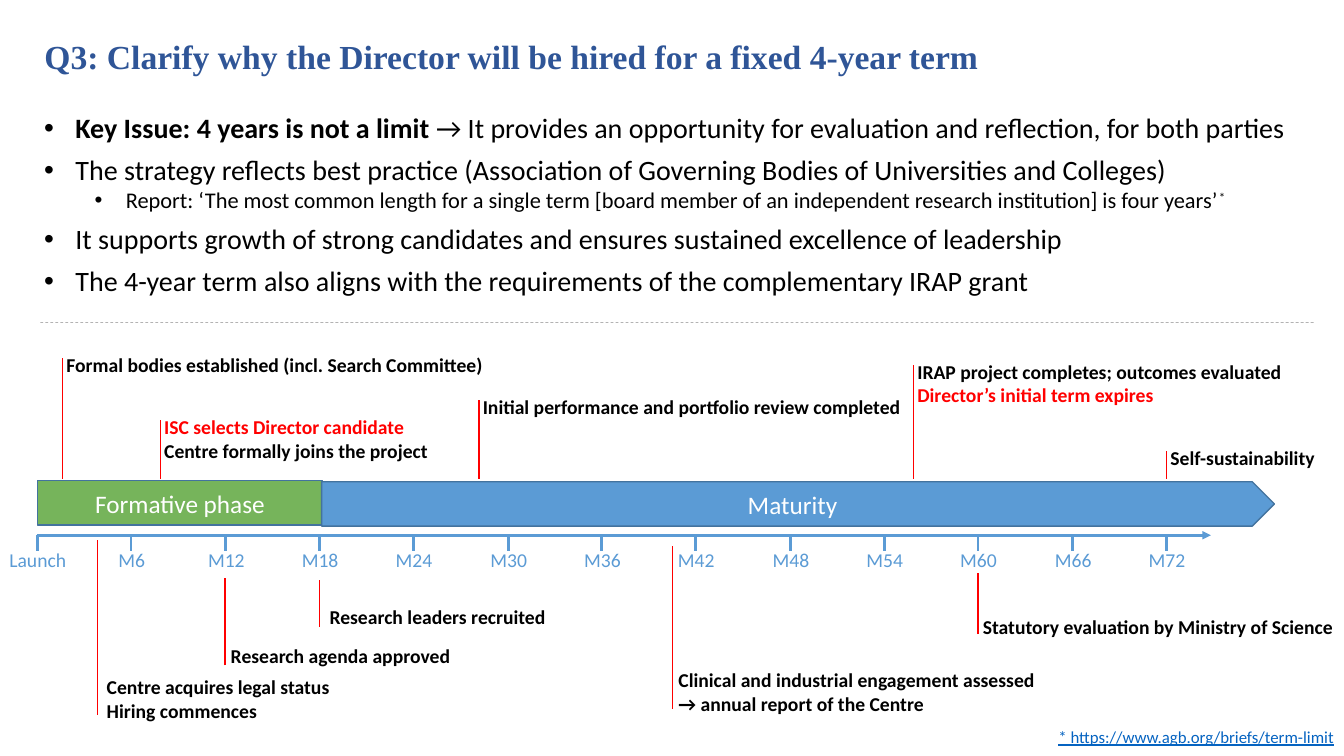
from dataclasses import dataclass

from lxml.etree import SubElement
from pptx import Presentation
from pptx.dml.color import RGBColor
from pptx.enum.dml import MSO_LINE_DASH_STYLE as Dash
from pptx.enum.shapes import MSO_CONNECTOR as Connector, MSO_SHAPE as Shape
from pptx.enum.text import MSO_ANCHOR as Anchor, MSO_AUTO_SIZE as AutoSize, PP_ALIGN as Align
from pptx.oxml.ns import qn
from pptx.util import Emu, Pt

EMU_PER_PX = 9144


@dataclass(frozen=True)
class Theme:
    title_font: str = "Times New Roman"
    body_font: str = "Calibri"
    title: str = "2F5597"
    ink: str = "000000"
    white: str = "FFFFFF"
    alert: str = "FF0000"
    axis: str = "5B9BD5"
    formative: str = "76B45B"
    outline: str = "43739E"
    divider: str = "181717"
    link: str = "0563C1"
    title_size: int = 24
    body_size: int = 20
    phase_size: int = 18
    detail_size: int = 16
    label_size: int = 14
    note_size: int = 12


def px(length):
    return Emu(round(length * EMU_PER_PX))


def write_span(para, text, *, font, size, color, bold=False, underline=False, raised=0):
    span = para.add_run()
    span.text = text
    span.font.name = font
    span.font.size = Pt(size)
    span.font.bold = bold
    span.font.underline = underline
    span.font.color.rgb = RGBColor.from_string(color)
    if raised:
        span._r.get_or_add_rPr().set("baseline", str(raised * 1000))


class SlideBuilder:
    def __init__(self, deck, theme):
        self.theme = theme
        self.slide = deck.slides.add_slide(deck.slide_layouts[5])

    def title(self, text, left, top, width, height):
        box = self.slide.shapes.title
        box.left, box.top, box.width, box.height = map(px, (left, top, width, height))
        frame = box.text_frame
        frame.auto_size = AutoSize.NONE
        frame.vertical_anchor = Anchor.MIDDLE
        para = frame.paragraphs[0]
        para.alignment = Align.LEFT
        para.line_spacing = 0.9
        write_span(para, text, font=self.theme.title_font, size=self.theme.title_size,
                   color=self.theme.title, bold=True)

    def text_frame(self, left, top, width, height, wrap=True):
        box = self.slide.shapes.add_textbox(*map(px, (left, top, width, height)))
        frame = box.text_frame
        frame.word_wrap = wrap
        frame.auto_size = AutoSize.SHAPE_TO_FIT_TEXT
        return frame

    def text(self, lines, left, top, width, height, wrap=True, align=Align.LEFT, **style):
        frame = self.text_frame(left, top, width, height, wrap)
        for index, (line, color) in enumerate(lines):
            para = frame.add_paragraph() if index else frame.paragraphs[0]
            para.alignment = align
            write_span(para, line, font=self.theme.body_font, color=color, **style)

    def bullets(self, items, left, top, width, height):
        frame = self.text_frame(left, top, width, height)
        for index, (level, spans) in enumerate(items):
            para = frame.add_paragraph() if index else frame.paragraphs[0]
            para.level = level
            para.space_before = Pt(6 if index and not level else 0)
            properties = para._p.get_or_add_pPr()
            properties.set("marL", str(px(81 if level else 31)))
            properties.set("indent", str(px(-31)))
            SubElement(properties, qn("a:buFont"), typeface="Arial")
            SubElement(properties, qn("a:buChar"), char="•")
            size = self.theme.detail_size if level else self.theme.body_size
            for words, style in spans:
                write_span(para, words, font=self.theme.body_font, size=size,
                           color=self.theme.ink, **style)

    def line(self, start, end, color, weight, arrow=False, dash=None, opacity=100):
        line = self.slide.shapes.add_connector(Connector.STRAIGHT, *map(px, (*start, *end)))
        line.line.color.rgb = RGBColor.from_string(color)
        line.line.width = Pt(weight)
        if dash:
            line.line.dash_style = dash
        properties = line._element.spPr
        if opacity < 100:
            fill_color = properties.find(".//" + qn("a:srgbClr"))
            SubElement(fill_color, qn("a:alpha"), val=str(opacity * 1000))
        if arrow:
            SubElement(line.line._get_or_add_ln(), qn("a:tailEnd"), type="triangle")
        SubElement(properties, qn("a:effectLst"))

    def phase(self, text, kind, fill, left, top, width, height):
        box = self.slide.shapes.add_shape(kind, *map(px, (left, top, width, height)))
        box.shadow.inherit = False
        box.fill.solid()
        box.fill.fore_color.rgb = RGBColor.from_string(fill)
        box.line.color.rgb = RGBColor.from_string(self.theme.outline)
        box.line.width = Pt(1)
        box.text_frame.vertical_anchor = Anchor.MIDDLE
        para = box.text_frame.paragraphs[0]
        para.alignment = Align.CENTER
        write_span(para, text, font=self.theme.body_font, size=self.theme.phase_size,
                   color=self.theme.white)

    def milestone(self, lines, x, line_top, line_bottom, left, top, width):
        self.line((x, line_bottom), (x, line_top), self.theme.alert, 1)
        height = 34 if len(lines) == 1 else 57
        self.text(lines, left, top, width, height, size=self.theme.label_size, bold=True)


def main():
    theme = Theme()
    deck = Presentation()
    deck.slide_width, deck.slide_height = px(1333), px(750)
    page = SlideBuilder(deck, theme)
    ink, alert = theme.ink, theme.alert

    page.title("Q3: Clarify why the Director will be hired for a fixed 4-year term", 34, 18, 1259, 80)
    page.bullets([
        (0, [("Key Issue: 4 years is not a limit ", {"bold": True}),
             ("→ It provides an opportunity for evaluation and reflection, for both parties", {})]),
        (0, [("The strategy reflects best practice (Association of Governing Bodies of "
              "Universities and Colleges)", {})]),
        (1, [("Report: ‘The most common length for a single term [board member of an "
              "independent research institution] is four years’", {}), ("*", {"raised": 30})]),
        (0, [("It supports growth of strong candidates and ensures sustained excellence "
              "of leadership", {})]),
        (0, [("The 4-year term also aligns with the requirements of the complementary "
              "IRAP grant", {})]),
    ], 34, 105, 1254, 197)

    axis_left, axis_top, tick_count = 37, 531, 13
    tick_gap = (1157 - axis_left) / (tick_count - 1)
    page.line((axis_left, axis_top), (1201, axis_top), theme.axis, 2, arrow=True)
    label_widths = {0: 77, 1: 47}
    for index in range(tick_count):
        x = round(axis_left + index * tick_gap)
        page.line((x, axis_top), (x, axis_top + 16), theme.axis, 2)
        width = label_widths.get(index, 57)
        name = f"M{index * 6}" if index else "Launch"
        page.text([(name, theme.axis)], x + 1 - width / 2, 539, width, 34,
                  wrap=False, size=theme.label_size)

    page.phase("Formative phase", Shape.RECTANGLE, theme.formative, 37, 477, 283, 44)

    milestones_above = [
        (62, 355, 437, [("Formal bodies established (incl. Search Committee)", ink)]),
        (159, 417, 284, [("ISC selects Director candidate", alert),
                         ("Centre formally joins the project", ink)]),
        (475, 397, 437, [("Initial performance and portfolio review completed", ink)]),
        (906, 362, 394, [("IRAP project completes; outcomes evaluated", ink),
                         ("Director’s initial term expires", alert)]),
        (1157, 447, 165, [("Self-sustainability", ink)]),
    ]
    for x, line_top, width, lines in milestones_above:
        page.milestone(lines, x, line_top, 475, x - 6, line_top - 10, width)

    milestones_below = [
        (97, 536, 709, 96, 665, 243, [("Centre acquires legal status", ink),
                                      ("Hiring commences", ink)]),
        (223, 573, 660, 219, 634, 268, [("Research agenda approved", ink)]),
        (317, 575, 622, 317, 595, 236, [("Research leaders recruited", ink)]),
        (667, 542, 703, 663, 658, 375, [("Clinical and industrial engagement assessed "
                                         "→ annual report of the Centre", ink)]),
        (970, 568, 629, 965, 605, 370, [("Statutory evaluation by Ministry of Science", ink)]),
    ]
    for x, line_top, line_bottom, left, top, width, lines in milestones_below:
        page.milestone(lines, x, line_top, line_bottom, left, top, width)

    page.text([("* https://www.agb.org/briefs/term-limit", theme.link)], 984, 716, 349, 30,
              align=Align.RIGHT, size=theme.note_size, underline=True)
    page.line((40, 320), (1303, 320), theme.divider, 0.5, dash=Dash.DASH, opacity=33)
    page.phase("Maturity", Shape.PENTAGON, theme.axis, 319, 478, 945, 44)

    deck.save("out.pptx")


if __name__ == "__main__":
    main()
